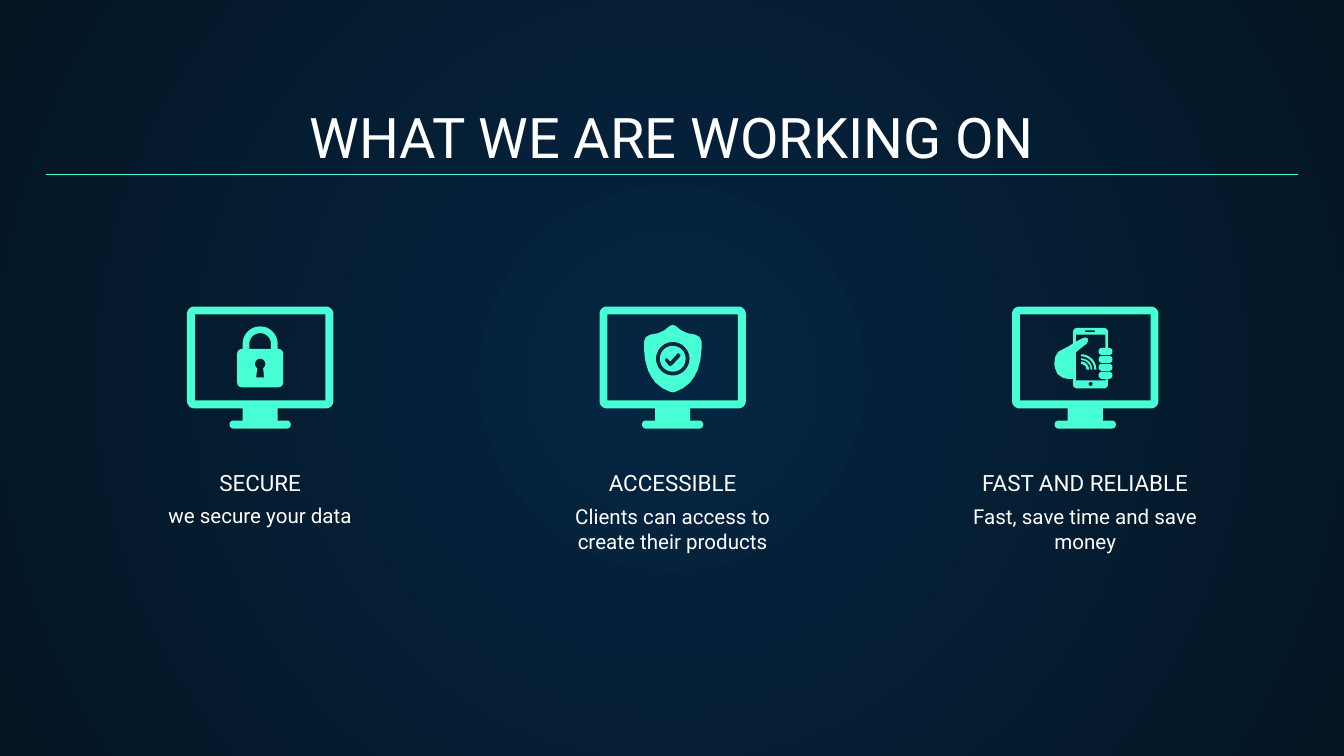
import math
import pptx
import pptx.util
import pptx.dml.color
import pptx.enum.shapes
import pptx.enum.text
import pptx.oxml
import pptx.oxml.ns

Pt = pptx.util.Pt
ANCHOR = pptx.enum.text.MSO_ANCHOR

TITLE = "WHAT WE ARE WORKING ON"
GOALS = [
    ("SECURE", "we secure your data", "lock"),
    ("ACCESSIBLE", "Clients can access to create their products", "shield"),
    ("FAST AND RELIABLE", "Fast, save time and save money", "phone"),
]
MINT, WHITE = "48FFD5", "FFFFFF"
GLOW, EDGE = "052643", "041523"
FONT = "Roboto"
WIDTH, HEIGHT = 720, 405
MARGIN = 24.5
MIDDLE, COLUMN_STEP = 360.4, 221
ICON_TOP = 164


def color(value):
    return pptx.dml.color.RGBColor.from_string(value)


def arc(x, y, radius, start=0, end=360):
    count = max(8, round(abs(end - start) / 10))
    angles = [math.radians(start + (end - start) * i / count) for i in range(count + 1)]
    return [(x + radius * math.cos(a), y + radius * math.sin(a)) for a in angles]


def box(left, top, right, bottom, r=0):
    if not r:
        return [(left, top), (right, top), (right, bottom), (left, bottom)]
    return (arc(left + r, top + r, r, 180, 270) + arc(right - r, top + r, r, 270, 360)
            + arc(right - r, bottom - r, r, 0, 90) + arc(left + r, bottom - r, r, 90, 180))


def wave(inner, outer):
    return arc(-2.2, 34, outer, 270, 360) + arc(-2.2, 34, inner, 360, 270)


MONITOR = [
    box(-39.2, 0.2, 39.2, 54.8, 4),
    box(-35, 4.4, 35, 50.5),
    box(-9.4, 54.8, 9.4, 61.3),
    box(-16.4, 61.3, 16.4, 65.6, 2.1),
]
LOCK = [
    box(-12.3, 23, 12.3, 43.5, 2.5),
    [(-9.4, 23)] + arc(0, 20.3, 9.4, 180, 360) + [(9.4, 23), (5.8, 23)]
    + arc(0, 20.3, 5.8, 360, 180) + [(-5.8, 23)],
    arc(0, 31, 2.8, 125, 415) + [(2.1, 38.2), (-2.1, 38.2)],
]
SHIELD_SIDE = [
    (0, 10.1), (1.5, 10.6), (4.5, 13), (8, 14.6), (12, 15.3), (14.4, 16.6),
    (15.4, 19), (15.4, 23), (14.8, 29), (13.2, 34.5), (11.4, 38), (9.2, 41),
    (5.5, 44), (1.2, 46), (0, 46.2),
]
SHIELD = [
    SHIELD_SIDE + [(-x, y) for x, y in reversed(SHIELD_SIDE)],
    arc(0, 28.2, 9),
]
CHECK = [
    arc(0, 28.2, 6.9),
    [(3.2, 25.2), (4.1, 26), (4.1, 27), (-0.4, 31.8), (-1.4, 32.1), (-2.2, 31.8),
     (-4.2, 29.3), (-4, 28.2), (-3.3, 27.9), (-2.7, 28.2), (-1.3, 29.6), (2.5, 25.4)],
]
PHONE = [
    box(-6.5, 11.7, 12.2, 44.1, 2.2),
    [(-5, 15.3), (10.8, 15.3), (10.8, 22.4), (12.2, 22.4), (12.2, 39.2),
     (10.8, 39.2), (10.8, 39.8), (-5, 39.8)],
    box(0, 13, 5.2, 13.9),
    arc(2.9, 41.7, 1.1),
    wave(2.9, 4.3), wave(5.1, 6), wave(7.1, 8.2),
] + [box(7.2, 22.4 + 4.25 * i, 14.6, 26.2 + 4.25 * i, 1.8) for i in range(4)]
HAND = [[
    (-5, 19), (-1.4, 17.2), (0, 16.7), (1.3, 17.3), (1.6, 18.5), (0.7, 20.2),
    (-2.9, 23), (-5, 24.8), (-5, 39), (-9.4, 39), (-12, 38.4), (-14.8, 36.4),
    (-16.1, 33.5), (-16.6, 30.8), (-16, 27), (-14.5, 24.5), (-12.2, 23.2), (-9, 21.6),
]]
SYMBOLS = {"lock": [LOCK], "shield": [SHIELD, CHECK], "phone": [PHONE, HAND]}


def draw(slide, contours, center):
    placed = [[(Pt(center + x), Pt(ICON_TOP + y)) for x, y in contour] for contour in contours]
    builder = slide.shapes.build_freeform(*placed[0][0], scale=1.0)
    for index, contour in enumerate(placed):
        if index:
            builder.move_to(*contour[0])
        builder.add_line_segments(contour[1:], close=True)
    part = builder.convert_to_shape()
    part.fill.solid()
    part.fill.fore_color.rgb = color(MINT)
    part.line.fill.background()
    part.shadow.inherit = False


def write(slide, words, center, top, width, height, size, anchor):
    frame = slide.shapes.add_textbox(
        Pt(center - width / 2), Pt(top), Pt(width), Pt(height)).text_frame
    frame.word_wrap = True
    frame.vertical_anchor = anchor
    frame.margin_left = frame.margin_right = Pt(7.2)
    frame.margin_top = frame.margin_bottom = Pt(7.2)
    paragraph = frame.paragraphs[0]
    paragraph.alignment = pptx.enum.text.PP_ALIGN.CENTER
    run = paragraph.add_run()
    run.text = words
    run.font.name = FONT
    run.font.size = Pt(size)
    run.font.color.rgb = color(WHITE)


def paint_background(slide):
    fill = slide.background.fill
    fill.gradient()
    for stop, value in zip(fill.gradient_stops, (GLOW, EDGE)):
        stop.color.rgb = color(value)
    gradient = slide.element.find(".//" + pptx.oxml.ns.qn("a:gradFill"))
    gradient.replace(gradient.find(pptx.oxml.ns.qn("a:lin")), pptx.oxml.parse_xml(
        '<a:path xmlns:a="http://schemas.openxmlformats.org/drawingml/2006/main" path="circle">'
        '<a:fillToRect l="50000" t="50000" r="50000" b="50000"/></a:path>'))


def main():
    deck = pptx.Presentation()
    deck.slide_width, deck.slide_height = Pt(WIDTH), Pt(HEIGHT)
    slide = deck.slides.add_slide(deck.slide_layouts[6])
    paint_background(slide)

    write(slide, TITLE, WIDTH / 2, 50.4, WIDTH - 2 * MARGIN, 47.5, 30, ANCHOR.BOTTOM)
    for index, (heading, detail, symbol) in enumerate(GOALS):
        center = MIDDLE + (index - 1) * COLUMN_STEP
        write(slide, detail, center, 262.8, 149, 39.6, 11, ANCHOR.TOP)
        write(slide, heading, center, 257.8, 163.4, 15.1, 12, ANCHOR.BOTTOM)
        for contours in [MONITOR] + SYMBOLS[symbol]:
            draw(slide, contours, center)

    rule = slide.shapes.add_connector(
        pptx.enum.shapes.MSO_CONNECTOR.STRAIGHT,
        Pt(MARGIN), Pt(93.6), Pt(WIDTH - MARGIN), Pt(93.6))
    rule.line.color.rgb = color(MINT)
    rule.line.width = Pt(0.75)
    properties = rule.element.find(pptx.oxml.ns.qn("p:spPr"))
    properties.append(properties.makeelement(pptx.oxml.ns.qn("a:effectLst"), {}))

    deck.save("out.pptx")


if __name__ == "__main__":
    main()
